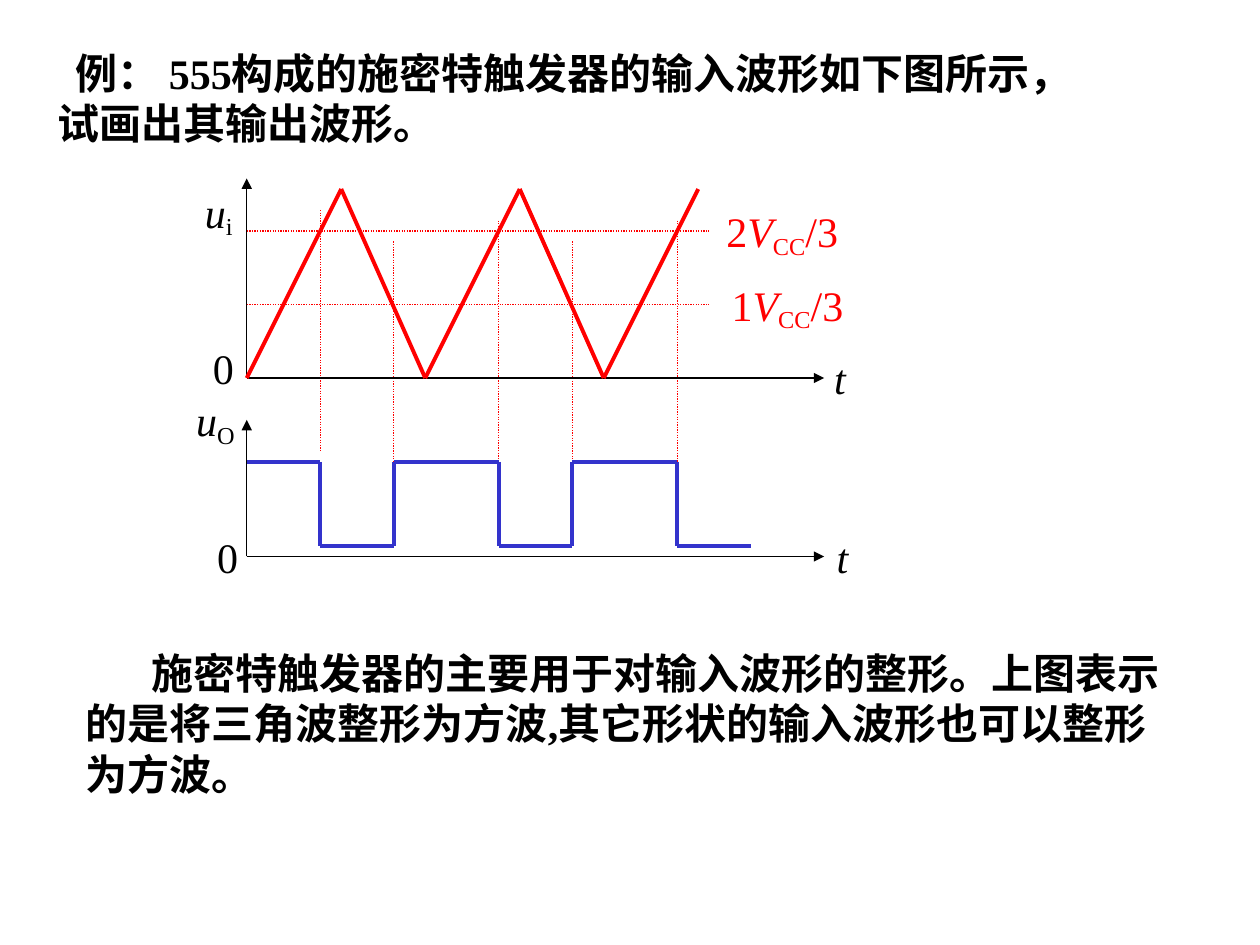
from itertools import pairwise

from lxml import etree
from pptx import Presentation
from pptx.dml.color import RGBColor
from pptx.enum.dml import MSO_LINE
from pptx.enum.shapes import MSO_CONNECTOR
from pptx.enum.text import MSO_AUTO_SIZE
from pptx.oxml.ns import qn
from pptx.util import Pt

STRAIGHT = MSO_CONNECTOR.STRAIGHT
DOTTED = MSO_LINE.ROUND_DOT
FIT_SHAPE = MSO_AUTO_SIZE.SHAPE_TO_FIT_TEXT
FONT = "Times New Roman"
BLACK, RED, BLUE = "000000", "FF0000", "3333CC"
THIN, THICK = 0.75, 2.25
UPRIGHT, ITALIC, SUB = "upright", "italic", "sub"

QUESTION = "例： 555构成的施密特触发器的输入波形如下图所示，试画出其输出波形。"
SUMMARY = ("施密特触发器的主要用于对输入波形的整形。上图表示的是将三角波整形为方波,"
           "其它形状的输入波形也可以整形为方波。")


def rgb(color):
    """Turn a hex string into a colour."""
    return RGBColor.from_string(color)


def add_line(shapes, start, end, color, width, dash=None, arrow=False):
    """Draw a straight line between two points."""
    sp = shapes.add_connector(STRAIGHT, *map(Pt, (*start, *end)))
    sp.line.color.rgb = rgb(color)
    sp.line.width = Pt(width)
    if dash:
        sp.line.dash_style = dash
    spPr = sp._element.spPr
    if arrow:
        etree.SubElement(spPr.find(qn("a:ln")), qn("a:tailEnd"), type="triangle")
    etree.SubElement(spPr, qn("a:effectLst"))


def add_polyline(shapes, points, color):
    """Draw a thick line through successive points."""
    for start, end in pairwise(points):
        add_line(shapes, start, end, color, THICK)


def add_text(s, box, wrap):
    """Add an empty text box and return its first paragraph."""
    tf = s.shapes.add_textbox(*map(Pt, box)).text_frame
    tf.word_wrap = wrap
    tf.auto_size = FIT_SHAPE
    return tf.paragraphs[0]


def style_run(r, color, bold=False):
    """Set the common font of a run."""
    r.font.name = FONT
    r.font.size = Pt(24)
    r.font.bold = bold
    r.font.color.rgb = rgb(color)


def add_label(s, box, parts, color=BLACK):
    """Add a symbol made of upright, italic and subscript parts."""
    p = add_text(s, box, False)
    for text, kind in parts:
        r = p.add_run()
        r.text = text
        style_run(r, color)
        r.font.italic = kind == ITALIC
        if kind == SUB:
            r._r.get_or_add_rPr().set("baseline", "-18000")


def add_statement(s, box, text, indent):
    """Add a bold paragraph with a first-line indent."""
    p = add_text(s, box, True)
    p.text = text
    p._p.get_or_add_pPr().set("indent", str(Pt(indent)))
    style_run(p.runs[0], BLACK, True)


def add_axes(s, left, base, width, height):
    """Draw a vertical and a horizontal arrow from one origin."""
    for end in ((left, base - height), (left + width, base)):
        add_line(s.shapes, (left, base), end, BLACK, THIN, arrow=True)


def add_input_chart(s, left, base):
    """Draw the triangular input wave with its two thresholds."""
    add_axes(s, left, base, 330, 114)
    thresholds = (("2", 84, 267), ("1", 42, 270))
    for factor, level, offset in thresholds:
        y = base - level
        add_line(s.shapes, (left, y), (left + 264, y), RED, THIN, DOTTED)
        add_label(s, (left + offset, y - 18, 81, 36),
                  [(factor, UPRIGHT), ("V", ITALIC), ("CC", SUB), ("/3", UPRIGHT)], RED)
    wave = [(left + x, base - 108 * (i % 2))
            for i, x in enumerate((0, 54, 102, 156, 204, 258))]
    add_polyline(s.shapes.add_group_shape().shapes, wave, RED)
    add_label(s, (left - 31, base - 113, 31, 36), [("u", ITALIC), ("i", SUB)])
    add_label(s, (left - 26.5, base - 24, 26.5, 36), [("0", UPRIGHT)])
    add_label(s, (left + 328.5, base - 18, 21, 36), [("t", ITALIC)])


def add_output_chart(s, left, base, edges):
    """Draw the square output wave that switches at the given edges."""
    add_axes(s, left, base, 330, 78)
    levels = (base - 54, base - 6)
    stops = (0, *edges, 288)
    wave = [(left + x, levels[i % 2])
            for i, span in enumerate(pairwise(stops)) for x in span]
    add_polyline(s.shapes, wave, BLUE)
    add_label(s, (left - 36, base - 96, 38, 36), [("u", ITALIC), ("O", SUB)])
    add_label(s, (left - 24, base - 18, 26.5, 36), [("0", UPRIGHT)])
    add_label(s, (left + 330, base - 18, 21, 36), [("t", ITALIC)])


def add_guides(s, left, top, edges):
    """Drop dotted guides from the threshold crossings to the output."""
    for x, offset in zip(edges, (0, 18, 6, 18, 6)):
        y = top + offset
        add_line(s.shapes, (left + x, y), (left + x, y + 138), RED, THIN, DOTTED)


def main():
    """Build the slide and save it."""
    prs = Presentation()
    prs.slide_width, prs.slide_height = Pt(720), Pt(540)
    s = prs.slides.add_slide(prs.slide_layouts[6])
    left, edges = 141, (42, 84, 144, 186, 246)
    add_statement(s, (25.5, 23.5, 613, 65.5), QUESTION, 10.5)
    add_guides(s, left, 120, edges)
    add_input_chart(s, left, 216)
    add_output_chart(s, left, 318, edges)
    add_statement(s, (42, 366.5, 630, 94.5), SUMMARY, 37.5)
    prs.save("out.pptx")


if __name__ == "__main__":
    main()
